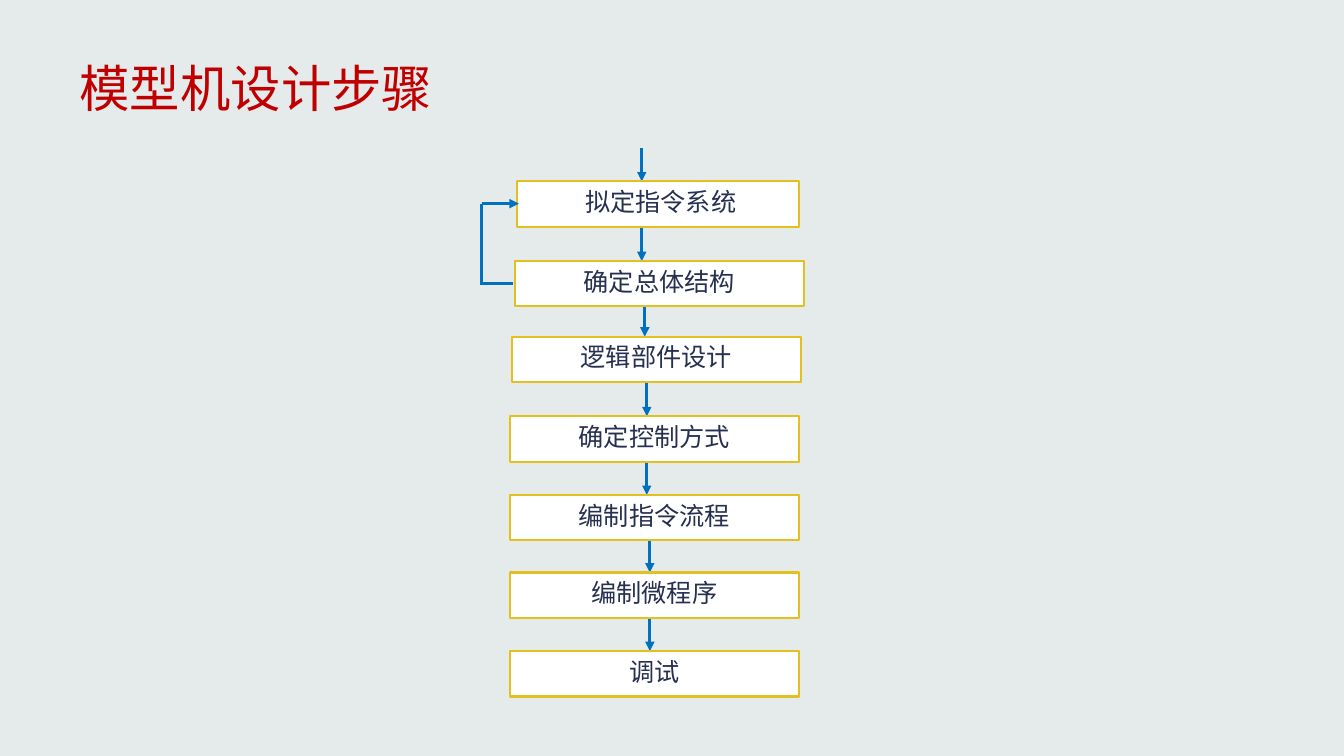
from lxml import etree
from pptx import Presentation
from pptx.dml.color import RGBColor
from pptx.enum.shapes import MSO_CONNECTOR, MSO_SHAPE
from pptx.enum.text import MSO_ANCHOR, MSO_AUTO_SIZE, PP_ALIGN
from pptx.oxml.ns import qn
from pptx.util import Inches, Pt

STRAIGHT = MSO_CONNECTOR.STRAIGHT
RECTANGLE = MSO_SHAPE.RECTANGLE
TOP, MIDDLE = MSO_ANCHOR.TOP, MSO_ANCHOR.MIDDLE
LEFT, CENTER = PP_ALIGN.LEFT, PP_ALIGN.CENTER
NO_AUTOFIT = MSO_AUTO_SIZE.NONE

COLORS = {
    "background": "E5EAEA",
    "title": "C00000",
    "box": "FFFFFF",
    "border": "E3C01E",
    "text": "263050",
    "arrow": "0070C0",
}
CJK_FONT = "Noto Sans CJK SC"
TITLE_FONT = "Times New Roman"
BOX_HEIGHT = 0.45
ARROW_LENGTH = 0.33

# Step text, box left, top and width, x of the arrow that enters it
STEPS = [
    (" 拟定指令系统", 5.13, 1.8, 2.8, 6.37),
    ("确定总体结构", 5.11, 2.59, 2.87, 6.37),
    ("逻辑部件设计", 5.08, 3.34, 2.87, 6.4),
    ("确定控制方式", 5.06, 4.13, 2.87, 6.42),
    ("编制指令流程", 5.06, 4.91, 2.87, 6.42),
    ("编制微程序", 5.06, 5.68, 2.87, 6.45),
    ("调试", 5.06, 6.46, 2.87, 6.45),
]


def color(name):
    return RGBColor.from_string(COLORS[name])


def write_text(frame, text, size, font, color_name, align, anchor):
    frame.word_wrap = True
    frame.auto_size = NO_AUTOFIT
    frame.vertical_anchor = anchor
    para = frame.paragraphs[0]
    para.alignment = align
    span = para.add_run()
    span.text = text
    span.font.size = Pt(size)
    span.font.name = font
    span.font.color.rgb = color(color_name)
    east_asian = etree.SubElement(span.font._element, qn("a:ea"))
    east_asian.set("typeface", CJK_FONT)


def add_title(page, text):
    title = page.shapes.title
    title.left, title.top = Inches(0.69), Inches(0.52)
    title.width, title.height = Inches(6.82), Inches(0.7)
    write_text(title.text_frame, text, 36, TITLE_FONT, "title", LEFT, MIDDLE)


def add_step(page, text, left, top, width):
    box = page.shapes.add_shape(
        RECTANGLE, Inches(left), Inches(top), Inches(width), Inches(BOX_HEIGHT))
    box.shadow.inherit = False
    box.fill.solid()
    box.fill.fore_color.rgb = color("box")
    box.line.color.rgb = color("border")
    box.line.width = Pt(1.5)
    write_text(box.text_frame, text, 18, CJK_FONT, "text", CENTER, TOP)


def add_line(page, start, end, arrow=True):
    line = page.shapes.add_connector(
        STRAIGHT, *(Inches(value) for value in (*start, *end)))
    line.line.color.rgb = color("arrow")
    line.line.width = Pt(2.25)
    if arrow:
        head = etree.SubElement(line.line._get_or_add_ln(), qn("a:tailEnd"))
        head.set("type", "triangle")
    etree.SubElement(line._element.spPr, qn("a:effectLst"))


def add_feedback(page):
    """Lead back from the second step to the first."""
    left, first, second = 4.78, 2.02, 2.81
    add_line(page, (left, first), (5.15, first))
    add_line(page, (left, first), (left, second), arrow=False)
    add_line(page, (left - 0.02, second), (5.09, second), arrow=False)


def main():
    deck = Presentation()
    deck.slide_width, deck.slide_height = Inches(13.34), Inches(7.5)
    page = deck.slides.add_slide(deck.slide_layouts.get_by_name("Title Only"))
    page.background.fill.solid()
    page.background.fill.fore_color.rgb = color("background")

    add_title(page, "模型机设计步骤")
    for _, _, top, _, arrow_x in STEPS:
        add_line(page, (arrow_x, top - ARROW_LENGTH), (arrow_x, top))
    for text, left, top, width, _ in STEPS:
        add_step(page, text, left, top, width)
    add_feedback(page)
    deck.save("out.pptx")


if __name__ == "__main__":
    main()
